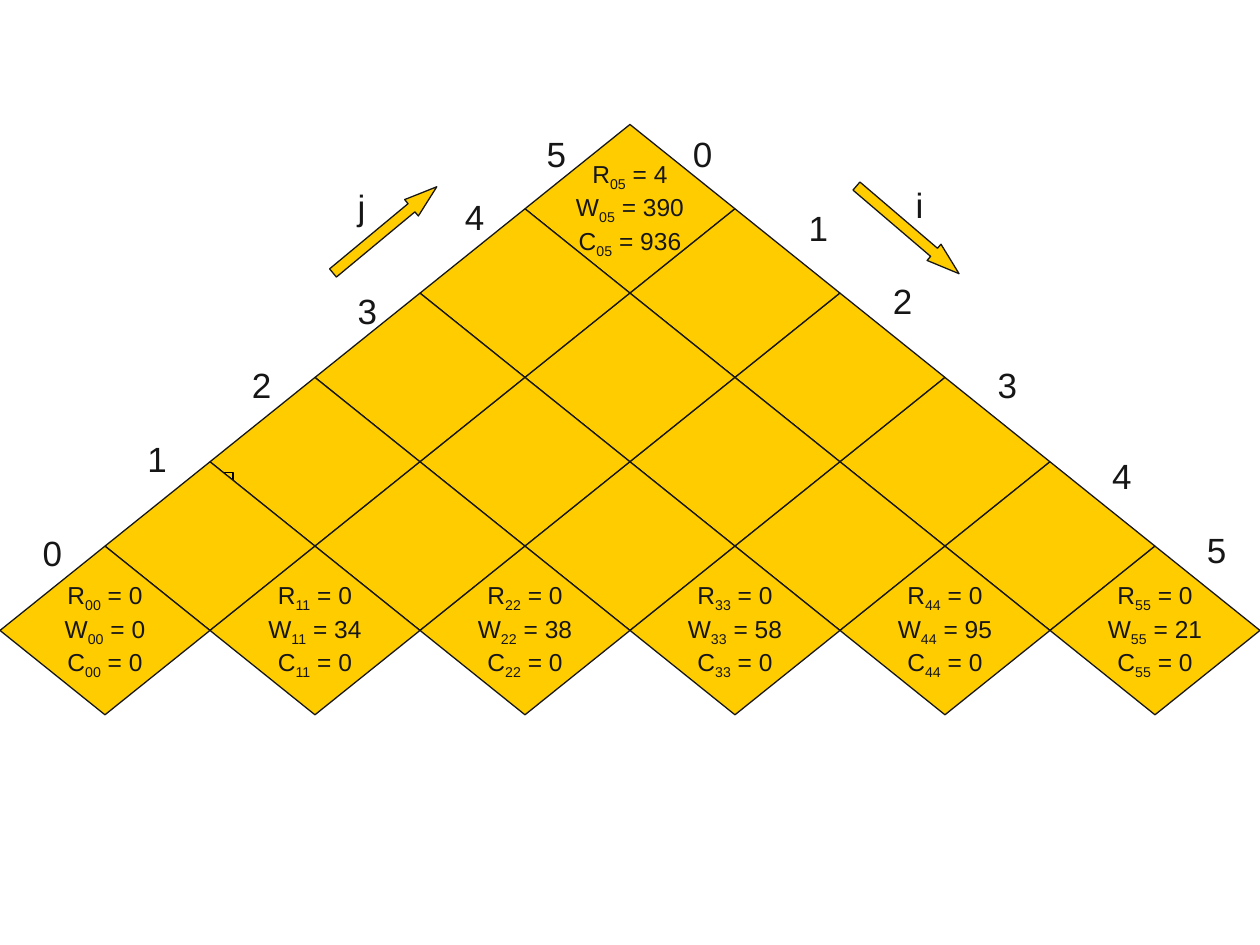
import pptx
import pptx.dml.color
import pptx.enum.shapes
import pptx.enum.text
import pptx.util
from pptx.util import Cm

GOLD = pptx.dml.color.RGBColor(0xFF, 0xCC, 0x00)
INK = pptx.dml.color.RGBColor(0x16, 0x16, 0x16)
BLACK = pptx.dml.color.RGBColor(0x00, 0x00, 0x00)
SHAPES = pptx.enum.shapes.MSO_SHAPE

ROWS = 6
SLIDE_WIDTH, SLIDE_HEIGHT = 25.4, 19.05
TILE_WIDTH, TILE_HEIGHT = SLIDE_WIDTH / ROWS, 3.4
PYRAMID_TOP = 2.51

WEIGHTS = {(0, 5): (4, 390, 936), (0, 0): (0, 0, 0), (1, 1): (0, 34, 0),
           (2, 2): (0, 38, 0), (3, 3): (0, 58, 0), (4, 4): (0, 95, 0),
           (5, 5): (0, 21, 0)}
J_LABELS = [(0.61, 10.59), (2.72, 8.69), (4.83, 7.21),
            (6.96, 5.72), (9.12, 3.81), (10.77, 2.54)]
I_LABELS = [(13.72, 2.54), (16.05, 4.04), (17.75, 5.51),
            (19.86, 7.21), (22.17, 9.04), (24.08, 10.52)]


def style_span(span, size):
    span.font.name = "Arial"
    span.font.size = pptx.util.Pt(size)
    span.font.color.rgb = INK


def add_outlined(page, kind, left, top, width, height, fill=GOLD, line=INK):
    shape = page.shapes.add_shape(kind, Cm(left), Cm(top), Cm(width), Cm(height))
    shape.shadow.inherit = False
    if fill is None:
        shape.fill.background()
    else:
        shape.fill.solid()
        shape.fill.fore_color.rgb = fill
    shape.line.color.rgb = line
    shape.line.width = pptx.util.Pt(0.75)
    return shape


def write_values(tile, subscript, values):
    frame = tile.text_frame
    frame.word_wrap = False
    frame.vertical_anchor = pptx.enum.text.MSO_ANCHOR.MIDDLE
    for index, (name, value) in enumerate(zip("RWC", values)):
        para = frame.paragraphs[0] if index == 0 else frame.add_paragraph()
        para.alignment = pptx.enum.text.PP_ALIGN.CENTER
        for text in (name, subscript, f" = {value}"):
            span = para.add_run()
            span.text = text
            style_span(span, 14)
            if text == subscript:
                span.font._element.set("baseline", "-25000")


def add_tile_row(page, row):
    for i in range(row + 1):
        j = ROWS - 1 - row + i
        left = (ROWS - 1 - row) * TILE_WIDTH / 2 + i * TILE_WIDTH
        top = PYRAMID_TOP + row * TILE_HEIGHT / 2
        tile = add_outlined(page, SHAPES.DIAMOND, left, top, TILE_WIDTH, TILE_HEIGHT)
        if (i, j) in WEIGHTS:
            write_values(tile, f"{i}{j}", WEIGHTS[i, j])


def add_arrow(page, left, top, rotation):
    arrow = add_outlined(page, SHAPES.RIGHT_ARROW, left, top, 2.72, 0.43)
    arrow.adjustments[0] = 0.5
    arrow.adjustments[1] = 1.54
    arrow.rotation = rotation


def add_label(page, text, left, top, width=0.89):
    box = page.shapes.add_textbox(Cm(left), Cm(top), Cm(width), Cm(1.12))
    frame = box.text_frame
    frame.word_wrap = False
    frame.auto_size = pptx.enum.text.MSO_AUTO_SIZE.SHAPE_TO_FIT_TEXT
    frame.text = text
    style_span(frame.paragraphs[0].runs[0], 20)


def main():
    deck = pptx.Presentation()
    deck.slide_width, deck.slide_height = Cm(SLIDE_WIDTH), Cm(SLIDE_HEIGHT)
    page = deck.slides.add_slide(deck.slide_layouts[6])
    for row in range(4):
        add_tile_row(page, row)
    add_outlined(page, SHAPES.RECTANGLE, 4.19, 9.53, 0.51, 1.09, fill=None, line=BLACK)
    for row in range(4, ROWS):
        add_tile_row(page, row)
    add_arrow(page, 6.4, 4.42, 320.3)
    add_arrow(page, 16.94, 4.42, 40.5)
    add_label(page, "j", 6.96, 3.61, 0.66)
    add_label(page, "i", 18.21, 3.58, 0.66)
    for labels in (J_LABELS, I_LABELS):
        for number, (left, top) in enumerate(labels):
            add_label(page, str(number), left, top)
    deck.save("out.pptx")


if __name__ == "__main__":
    main()
